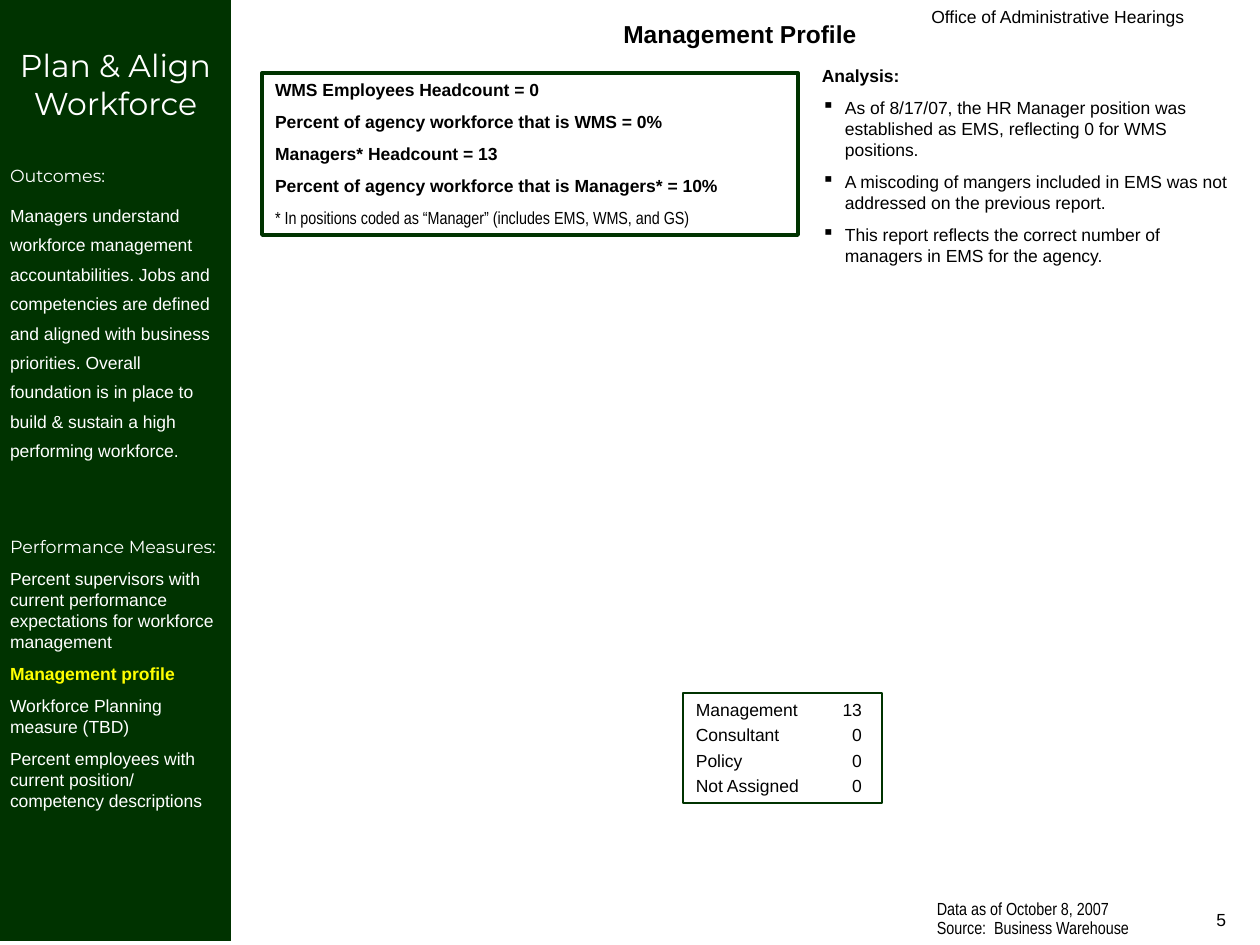
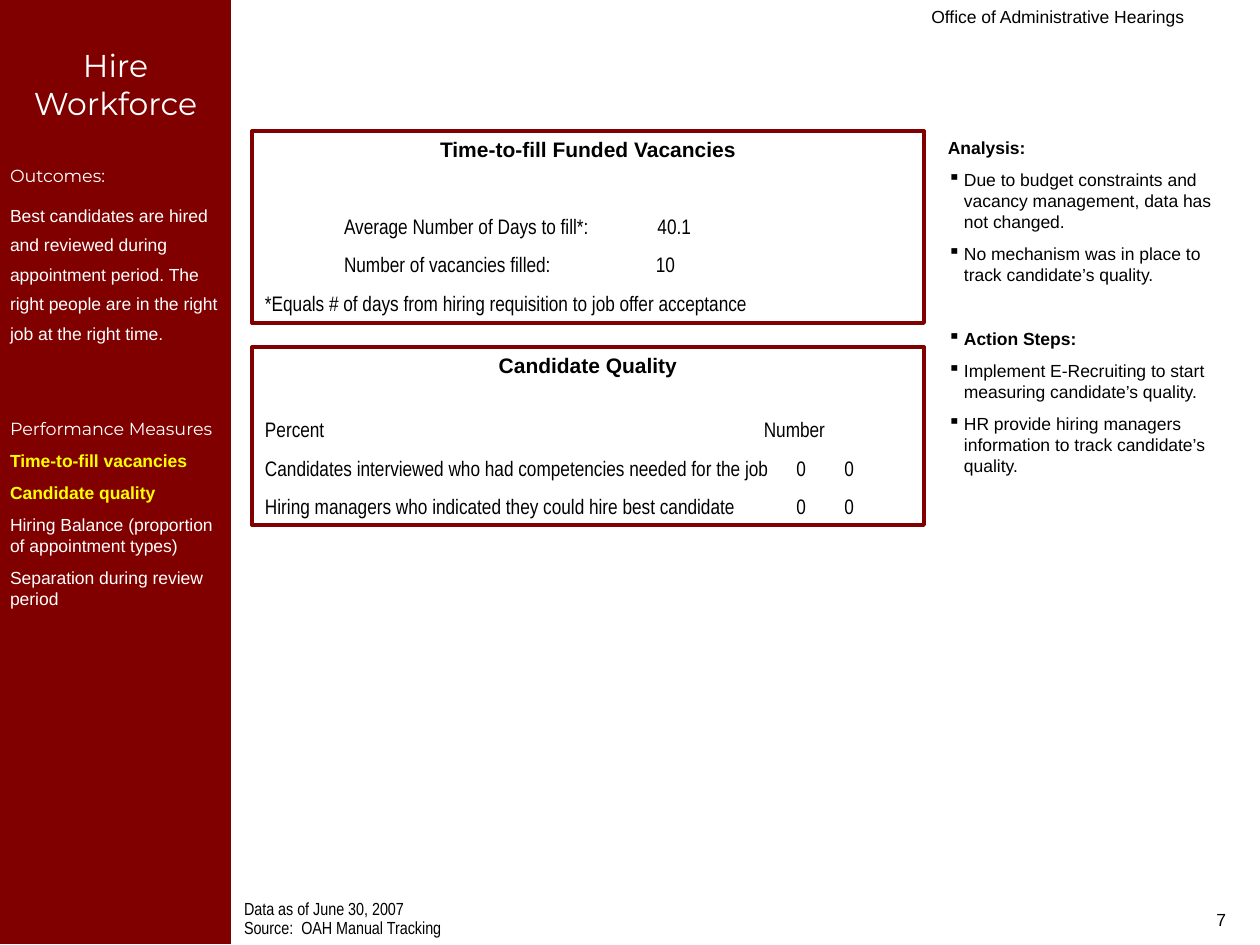
"""Build two workforce report slides with a coloured sidebar and boxed figures."""
from lxml import etree
from pptx import Presentation
from pptx import util as u
from pptx.dml import color
from pptx.enum import shapes, text
from pptx.oxml import ns

BLACK, WHITE, YELLOW = "000000", "FFFFFF", "FFFF00"
GREEN, MAROON = "003300", "800000"
BODY, NARROW, DISPLAY = "Arial", "Arial Narrow", "Montserrat"
CENTER, RIGHT = text.PP_ALIGN.CENTER, text.PP_ALIGN.RIGHT
SLIDE_W, SLIDE_H, SIDEBAR_W = 1260, 945, 231
SMALL_GAP, GAP, WIDE_GAP = 2.5, 6.2, 7.5
OUTCOMES_GAP, MEASURES_GAP, ACTION_GAP = 24.6, 42.8, 24.5
FIGURES_GAP, COLUMNS_GAP = 29.4, 22.1


def px(length):
    return u.Emu(round(length * 914400 / 126))


def rgb(hex_code):
    return color.RGBColor.from_string(hex_code)


class Report:
    def __init__(self):
        self.deck = Presentation()
        self.deck.slide_width, self.deck.slide_height = px(SLIDE_W), px(SLIDE_H)
        self.accent = BLACK
        self.slide = None

    def page(self, accent, number):
        self.accent = accent
        self.slide = self.deck.slides.add_slide(self.deck.slide_layouts[6])
        self.label((567, 0, 630, 32), ["Office of Administrative Hearings"], align=RIGHT)
        self.label((945, 903, 294, 42), [str(number)], align=RIGHT)

    def label(self, area, entries, **style):
        self.fill_text(self.slide.shapes.add_textbox(*map(px, area)), entries, **style)

    def panel(self, area, entries, border=2.25, **style):
        frame = self.rectangle(area)
        frame.fill.background()
        frame.line.color.rgb = rgb(self.accent)
        frame.line.width = u.Pt(border)
        self.fill_text(frame, entries, **style)

    def sidebar(self, height, heading, outcomes, measures_heading, measures):
        band = self.rectangle((0, 0, SIDEBAR_W, height))
        band.fill.solid()
        band.fill.fore_color.rgb = rgb(self.accent)
        band.line.fill.background()
        entries = [
            (heading, dict(size=18, name=DISPLAY, align=CENTER)),
            ("Outcomes:", dict(name=DISPLAY, gap=OUTCOMES_GAP)),
            (outcomes, dict(spacing=1.4)),
            (measures_heading, dict(name=DISPLAY, gap=MEASURES_GAP)),
            *measures,
        ]
        self.fill_text(band, entries, insets=(10, 46, 10, 5), ink=WHITE, gap=GAP)

    def analysis(self, area, indent, findings):
        entries = [("Analysis:", dict(bold=True, bullet=False)), *findings]
        self.label(area, entries, gap=GAP, indent=indent, bullet=True)

    def source(self, left, width, lines):
        self.label((left, 898, width, 47), lines, name=NARROW, gap=SMALL_GAP, spacing=0.7)

    def rectangle(self, area):
        block = self.slide.shapes.add_shape(shapes.MSO_SHAPE.RECTANGLE, *map(px, area))
        block.shadow.inherit = False
        return block

    def fill_text(self, holder, entries, insets=(13, 6, 13, 6), **style):
        frame = holder.text_frame
        margins = zip(("left", "top", "right", "bottom"), insets)
        layout = {f"margin_{side}": px(inset) for side, inset in margins}
        layout.update(word_wrap=True, auto_size=text.MSO_AUTO_SIZE.NONE,
                      vertical_anchor=text.MSO_ANCHOR.TOP)
        self.apply(frame, layout)
        for index, entry in enumerate(entries):
            words, changes = (entry, {}) if isinstance(entry, str) else entry
            line = frame.add_paragraph() if index else frame.paragraphs[0]
            self.fill_line(line, words, first=index == 0, **{**style, **changes})

    def fill_line(self, line, words, first, size=10, name=BODY, bold=False, ink=BLACK,
                  align=text.PP_ALIGN.LEFT, gap=0, spacing=1.0, indent=0, bullet=False, tabs=()):
        props = line._p.get_or_add_pPr()
        if indent:
            props.set("marL", str(px(indent)))
            props.set("indent", str(-px(indent)))
        if bullet:
            self.element(props, "a:buChar", char="▪")
        if tabs:
            stops = self.element(props, "a:tabLst")
            for place, side in tabs:
                self.element(stops, "a:tab", pos=str(px(place)), algn=side)
        self.apply(line, dict(alignment=align, line_spacing=spacing,
                              space_before=u.Pt(0 if first else gap)))
        run = line.add_run()
        run.text = words
        self.apply(run.font, dict(size=u.Pt(size), name=name, bold=bold))
        run.font.color.rgb = rgb(ink)

    @staticmethod
    def element(parent, tag, **attributes):
        return etree.SubElement(parent, ns.qn(tag), attributes)

    @staticmethod
    def apply(target, values):
        for attribute, value in values.items():
            setattr(target, attribute, value)


def management_profile(report):
    report.page(GREEN, 5)
    report.sidebar(
        941, "Plan & Align Workforce",
        "Managers understand workforce management accountabilities. Jobs and competencies "
        "are defined and aligned with business priorities. Overall foundation is in place "
        "to build & sustain a high performing workforce.",
        "Performance Measures:",
        ["Percent supervisors with current performance expectations for workforce management",
         ("Management profile", dict(ink=YELLOW, bold=True)),
         "Workforce Planning measure (TBD)",
         "Percent employees with current position/ competency descriptions"])
    report.label((SIDEBAR_W, 13, 1018, 43), ["Management Profile"],
                 size=14, bold=True, align=CENTER)
    report.panel(
        (262, 73, 536, 162),
        ["WMS Employees Headcount = 0",
         "Percent of agency workforce that is WMS = 0%",
         "Managers* Headcount = 13",
         "Percent of agency workforce that is Managers* = 10%",
         ("* In positions coded as “Manager” (includes EMS, WMS, and GS)",
          dict(name=NARROW, bold=False))],
        bold=True, gap=GAP)
    report.analysis(
        (809, 59, 431, 278), 23,
        ["As of 8/17/07, the HR Manager position was established as EMS, "
         "reflecting 0 for WMS positions.",
         "A miscoding of mangers included in EMS was not addressed on the previous report.",
         "This report reflects the correct number of managers in EMS for the agency."])
    headcounts = {"Management": 13, "Consultant": 0, "Policy": 0, "Not Assigned": 0}
    report.panel((683, 693, 199, 110),
                 [f"{role}\t{count}" for role, count in headcounts.items()],
                 border=0.75, gap=SMALL_GAP, tabs=[(166, "r")])
    report.source(924, 325, ["Data as of October 8, 2007", "Source:  Business Warehouse"])


def hire_workforce(report):
    report.page(MAROON, 7)
    current = dict(ink=YELLOW, bold=True)
    report.sidebar(
        944, "Hire Workforce",
        "Best candidates are hired and reviewed during appointment period. "
        "The right people are in the right job at the right time.",
        "Performance Measures",
        [("Time-to-fill vacancies", current),
         ("Candidate quality", current),
         "Hiring Balance (proportion of appointment types)",
         "Separation during review period"])
    box_title = dict(name=BODY, bold=True, align=CENTER)
    box_text = dict(size=12, name=NARROW, gap=WIDE_GAP)
    report.panel(
        (252, 131, 672, 192),
        [("Time-to-fill Funded Vacancies", box_title),
         ("\tAverage Number of Days to fill*:\t40.1",
          dict(gap=FIGURES_GAP, tabs=[(79, "l"), (426, "r")])),
         ("\tNumber of vacancies filled:\t10", dict(tabs=[(79, "l"), (410, "r")])),
         "*Equals # of days from hiring requisition to job offer acceptance"],
        **box_text)
    scores = dict(tabs=[(541, "r"), (589, "r")])
    report.panel(
        (252, 347, 672, 178),
        [("Candidate Quality", box_title),
         ("Percent\tNumber", dict(gap=COLUMNS_GAP, tabs=[(560, "r")])),
         ("Candidates interviewed who had competencies needed for the job\t0\t0", scores),
         ("Hiring managers who indicated they could hire best candidate\t0\t0", scores)],
        **box_text)
    report.analysis(
        (935, 131, 305, 352), 16,
        ["Due to budget constraints and vacancy management, data has not changed.",
         "No mechanism was in place to track candidate’s quality.",
         ("Action Steps:", dict(bold=True, gap=ACTION_GAP)),
         "Implement E-Recruiting to start measuring candidate’s quality.",
         "HR provide hiring managers information to track candidate’s quality."])
    report.source(SIDEBAR_W, 609, ["Data as of June 30, 2007", "Source:  OAH Manual Tracking"])


def main():
    report = Report()
    management_profile(report)
    hire_workforce(report)
    report.deck.save("out.pptx")


if __name__ == "__main__":
    main()
